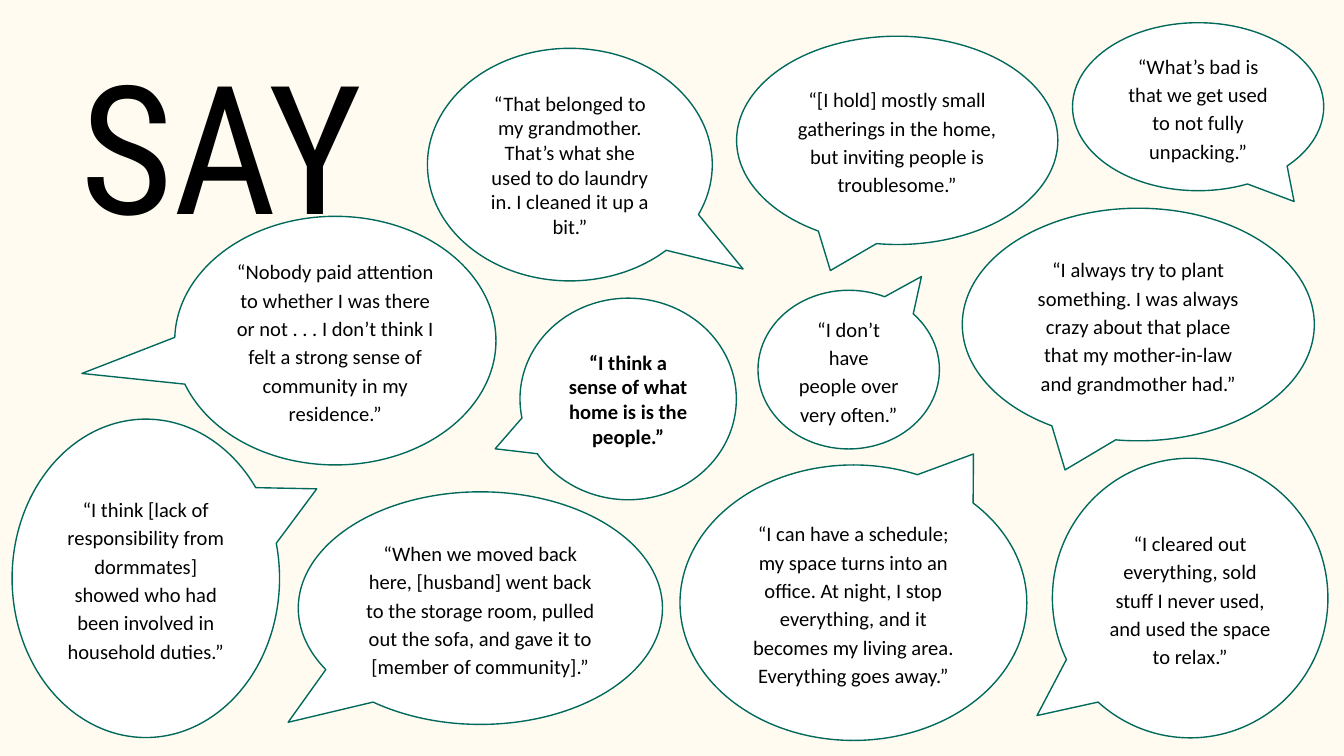
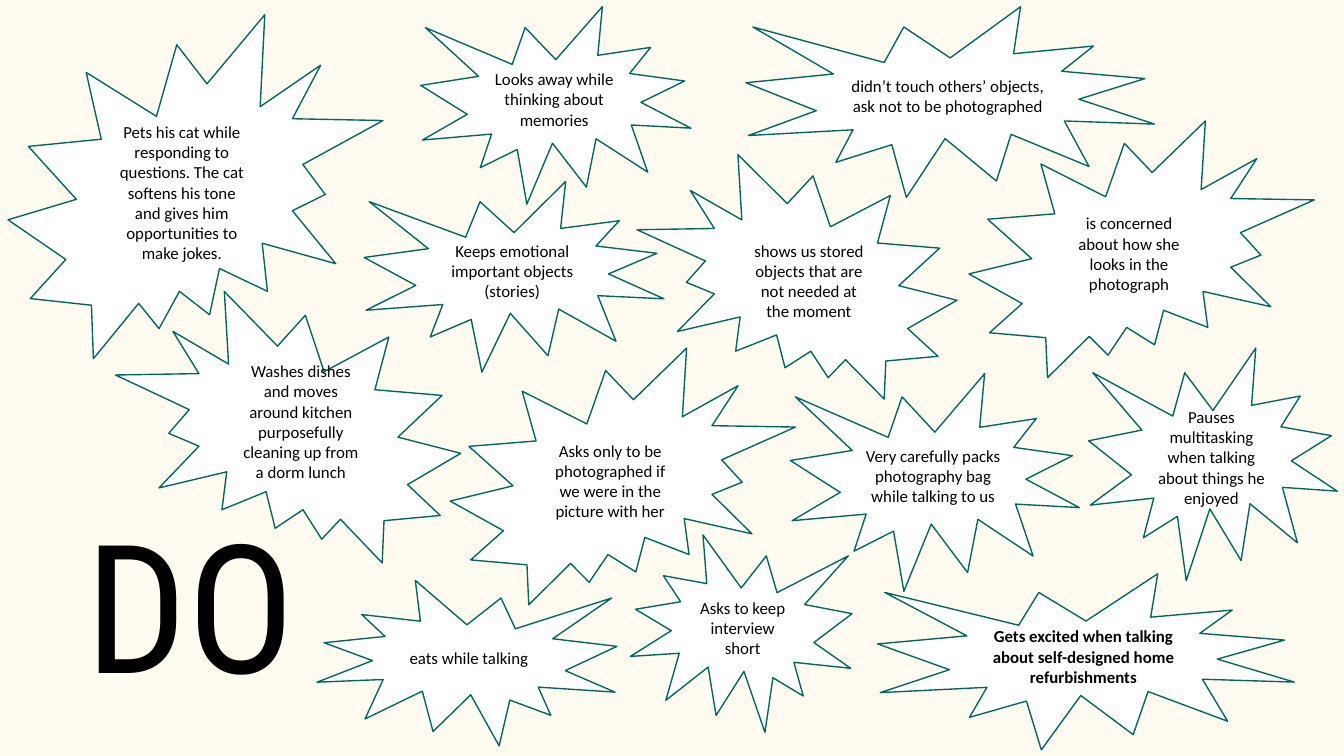
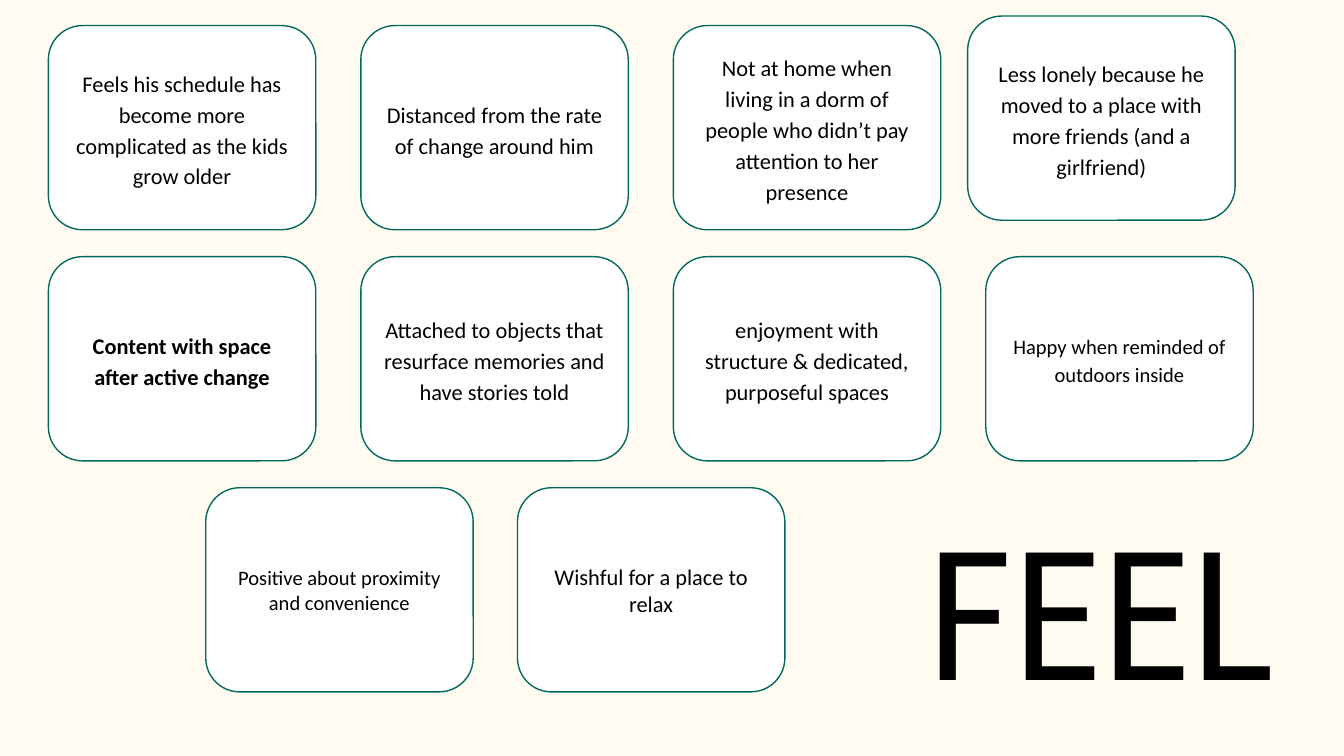
import pptx
import pptx.dml.color
import pptx.enum.shapes
import pptx.enum.text
import pptx.util

Pt = pptx.util.Pt
RGBColor = pptx.dml.color.RGBColor
SHAPE = pptx.enum.shapes.MSO_SHAPE
ALIGN = pptx.enum.text.PP_ALIGN
ANCHOR = pptx.enum.text.MSO_ANCHOR

CREAM = RGBColor(0xFF, 0xFB, 0xF0)
WHITE = RGBColor(0xFF, 0xFF, 0xFF)
TEAL = RGBColor(0x00, 0x69, 0x5C)
BLACK = RGBColor(0x00, 0x00, 0x00)

FRAME = {
    "word_wrap": True,
    "margin_left": Pt(7.2),
    "margin_right": Pt(7.2),
    "margin_top": Pt(7.2),
    "margin_bottom": Pt(7.2),
}
TITLE = {"name": "Roboto Condensed", "size": Pt(96)}
NOTE = {"name": "Calibri", "bold": False}


def write(box, text, font, align=ALIGN.CENTER, anchor=ANCHOR.MIDDLE, spacing=None):
    frame = box.text_frame
    for name, value in {**FRAME, "vertical_anchor": anchor}.items():
        setattr(frame, name, value)
    para = frame.paragraphs[0]
    para.alignment = align
    para.line_spacing = spacing
    span = para.add_run()
    span.text = text
    for name, value in font.items():
        setattr(span.font, name, value)
    span.font.color.rgb = BLACK


def add_note(page, kind, bounds, text, size, bold=False, spacing=None):
    note = page.shapes.add_shape(kind, *map(Pt, bounds))
    note.shadow.inherit = False
    note.fill.solid()
    note.fill.fore_color.rgb = WHITE
    note.line.color.rgb = TEAL
    note.line.width = Pt(0.75)
    write(note, text, {**NOTE, "size": Pt(size), "bold": bold}, spacing=spacing)
    return note


deck = pptx.Presentation()
deck.slide_width = Pt(720)
deck.slide_height = Pt(405)
background = deck.slide_master.background.fill
background.solid()
background.fore_color.rgb = CREAM
say_page, do_page, feel_page = [
    deck.slides.add_slide(deck.slide_layouts[6]) for _ in range(3)
]

quotes = [
    ((229, 25.9, 152.6, 124.6), (0.608, 0.449), False, None,
     "“That belonged to my grandmother. That’s what she used to do laundry in. I cleaned it up a bit.”"),
    ((278.6, 159.8, 115.9, 108), (-0.615, 0.247), True, None,
     "“I think a sense of what home is is the people.”"),
    ((394.6, 19.4, 172.1, 111.6), (-0.208, 0.625), False, 1.15,
     "“[I hold] mostly small gatherings in the home, but inviting people is troublesome.”"),
    ((6.5, 224.6, 143.3, 170.6), (0.639, -0.281), False, 1.15,
     "“I think [lack of responsibility from dormmates] showed who had been involved in household duties.”"),
    ((563.8, 245.5, 147.6, 149.8), (-0.556, 0.42), False, 1.15,
     "“I cleared out everything, sold stuff I never used, and used the space to relax.”"),
    ((159.8, 263.5, 195.1, 124.6), (-0.528, 0.491), False, 1.15,
     "“When we moved back here, [husband] went back to the storage room, pulled out the sofa, "
     "and gave it to [member of community].”"),
    ((515.5, 111.6, 188.6, 124.6), (-0.208, 0.625), False, 1.15,
     "“I always try to plant something. I was always crazy about that place "
     "that my mother-in-law and grandmother had.”"),
    ((406.1, 155.5, 97.2, 85), (0.401, -0.587), False, 1.15,
     "“I don’t have people over very often.”"),
    ((364.3, 249.1, 185.8, 147.6), (0.346, -0.54), False, 1.15,
     "“I can have a schedule; my space turns into an office. At night, I stop everything, "
     "and it becomes my living area. Everything goes away.”"),
    ((574.6, 12.2, 134.6, 90), (0.382, 0.564), False, 1.15,
     "“What’s bad is that we get used to not fully unpacking.”"),
    ((93.6, 115.9, 172.1, 133.2), (-0.789, 0.132), False, 1.15,
     "“Nobody paid attention to whether I was there or not . . . "
     "I don’t think I felt a strong sense of community in my residence.”"),
]
for bounds, tail, bold, spacing, text in quotes:
    bubble = add_note(say_page, SHAPE.OVAL_CALLOUT, bounds, text, 11, bold, spacing)
    bubble.adjustments[0], bubble.adjustments[1] = tail

SPIKY, JAGGED = SHAPE.EXPLOSION1, SHAPE.EXPLOSION2
actions = [
    (JAGGED, (4.3, 7.9, 200.9, 184.3), False,
     "Pets his cat while responding to questions. The cat softens his tone "
     "and gives him opportunities to make jokes."),
    (SPIKY, (195.1, 97.2, 160.6, 102.2), False, "Keeps emotional important objects (stories)"),
    (SPIKY, (399.6, 3.6, 218.9, 102.2), False, "didn’t touch others’ objects, ask not to be photographed"),
    (SPIKY, (225.4, 3.6, 144.7, 105.8), False, "Looks away while thinking about memories"),
    (JAGGED, (241.2, 186.5, 185, 137.5), False,
     "Asks only to be photographed if we were in the picture with her"),
    (SPIKY, (583.2, 186.5, 133.2, 124.6), False, "Pauses multitasking when talking about things he enjoyed"),
    (JAGGED, (341.3, 82.8, 171.4, 131), True, "shows us stored objects that are not needed at the moment"),
    (SPIKY, (169.9, 311, 160.6, 88.6), True, "eats while talking"),
    (JAGGED, (519.1, 64.8, 185, 137.5), False, "is concerned about how she looks in the photograph"),
    (SPIKY, (337.7, 286.6, 118.8, 105.8), True, "Asks to keep interview short"),
    (SPIKY, (423.4, 200.2, 154.8, 116.6), False, "Very carefully packs photography bag while talking to us"),
    (SPIKY, (470.2, 307.4, 223.2, 94.3), False,
     "Gets excited when talking about self-designed home refurbishments"),
    (JAGGED, (61.9, 156.2, 185, 145.4), True,
     "Washes dishes and moves around kitchen purposefully cleaning up from a dorm lunch"),
]
for kind, bounds, flipped, text in actions:
    burst = add_note(do_page, kind, bounds, text, 9, text.startswith("Gets excited"))
    if flipped:
        burst._element.spPr.xfrm.set("flipH", "1")
burst.text_frame.margin_bottom = Pt(18.2)

CARD_WIDTH, CARD_HEIGHT = 143.3, 109.4
COLUMNS = [25.9 + 167.4 * column for column in range(4)]
ROWS = [13.7 + 123.8 * row for row in range(3)]
feelings = [
    (COLUMNS[0], ROWS[1], 12, 1.15, "Content with space after active change"),
    (110.2, ROWS[2], 11, None, "Positive about proximity and convenience"),
    (277.2, ROWS[2], 12, None, "Wishful for a place to relax"),
    (COLUMNS[1], ROWS[1], 12, 1.15, "Attached to objects that resurface memories and have stories told"),
    (COLUMNS[3], ROWS[1], 11, 1.15, "Happy when reminded of outdoors inside"),
    (COLUMNS[2], ROWS[1], 12, 1.15, "enjoyment with structure & dedicated, purposeful spaces"),
    (COLUMNS[0], ROWS[0], 12, 1.15, "Feels his schedule has become more complicated as the kids grow older"),
    (COLUMNS[1], ROWS[0], 12, 1.15, "Distanced from the rate of change around him"),
    (COLUMNS[2], ROWS[0], 12, 1.15,
     "Not at home when living in a dorm of people who didn’t pay attention to her presence"),
    (518.4, 8.6, 12, 1.15,
     "Less lonely because he moved to a place with more friends (and a girlfriend)"),
]
for left, top, size, spacing, text in feelings:
    add_note(feel_page, SHAPE.ROUNDED_RECTANGLE, (left, top, CARD_WIDTH, CARD_HEIGHT),
             text, size, text.startswith("Content"), spacing)

titles = [
    (say_page, "SAY", (36, 21.6, 252, 109.4), ALIGN.LEFT, ANCHOR.MIDDLE),
    (do_page, "DO", (31.9, 257.8, 140, 105.8), ALIGN.CENTER, ANCHOR.TOP),
    (feel_page, "FEEL", (481, 261.4, 217.4, 109.4), ALIGN.CENTER, ANCHOR.TOP),
]
for page, text, bounds, align, anchor in titles:
    box = page.shapes.add_textbox(*map(Pt, bounds))
    write(box, text, TITLE, align, anchor)

deck.save("out.pptx")
